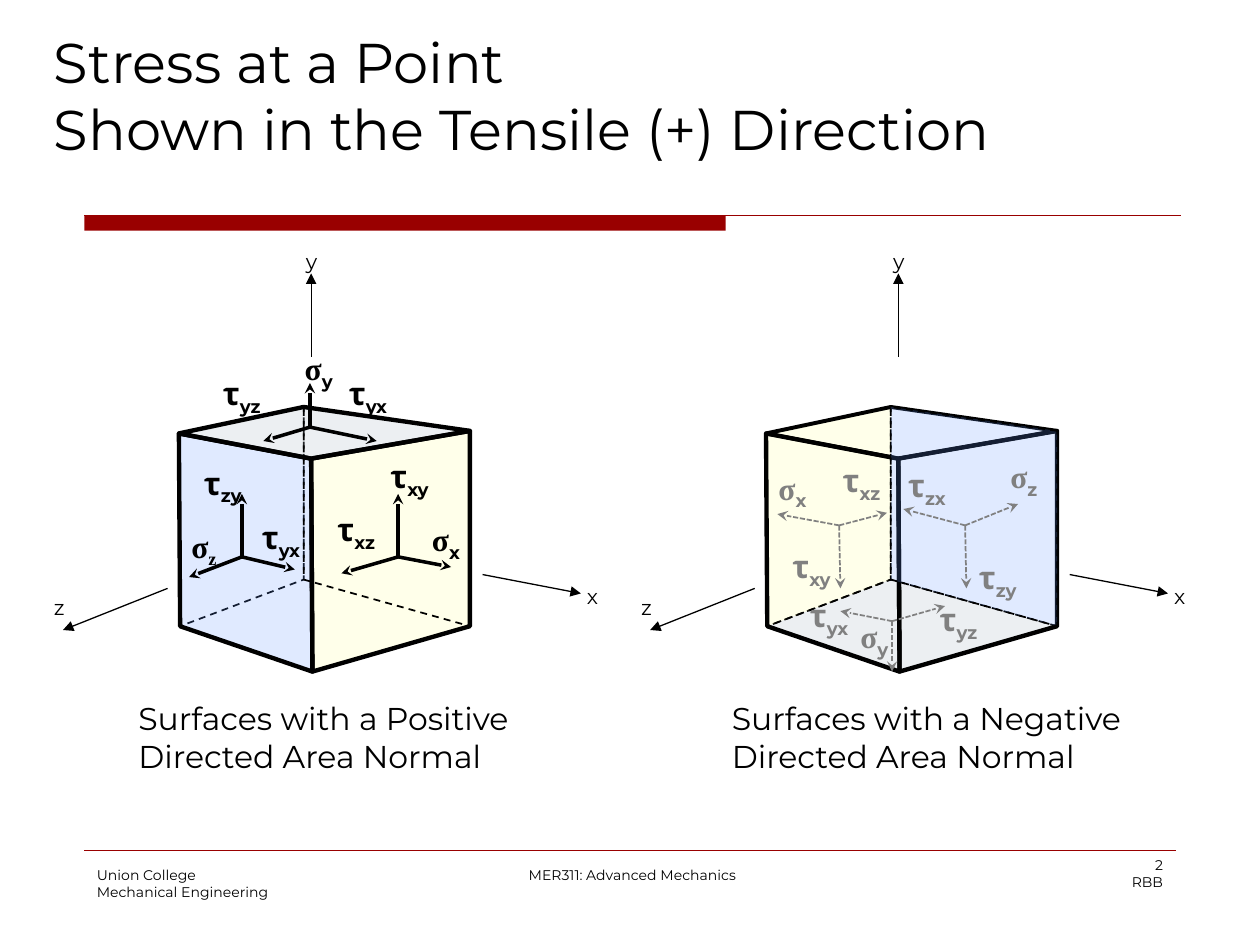
"""Build a slide of the stresses at a point on two cubes."""
from lxml import etree
from pptx import Presentation
from pptx.dml.color import RGBColor
from pptx.enum.dml import MSO_LINE
from pptx.enum.shapes import MSO_CONNECTOR, MSO_SHAPE
from pptx.enum.text import PP_ALIGN
from pptx.oxml.ns import qn
from pptx.util import Inches, Pt

BLACK = RGBColor(0x00, 0x00, 0x00)
GRAY = RGBColor(0x80, 0x80, 0x80)
RED = RGBColor(0x99, 0x00, 0x00)
BLUE = RGBColor(0x66, 0x99, 0xFF)
CREAM = RGBColor(0xFF, 0xFF, 0x99)
STEEL = RGBColor(0xA3, 0xB2, 0xC1)
DASH, DOTS = MSO_LINE.DASH, MSO_LINE.SQUARE_DOT
LEFT, MID, RIGHT = PP_ALIGN.LEFT, PP_ALIGN.CENTER, PP_ALIGN.RIGHT
SANS, SERIF = "Montserrat", "Times New Roman"
CELL = Inches(0.1)
SHIFT = 46.6

deck = Presentation()
deck.slide_width, deck.slide_height = 100 * CELL, 75 * CELL
slide = deck.slides.add_slide(deck.slide_layouts[6])
shapes = slide.shapes


def write(box, lines, size, align=LEFT, wrap=True):
    frame = shapes.add_textbox(*[int(v * CELL) for v in box]).text_frame
    frame.word_wrap = wrap
    for row, line in enumerate(lines):
        para = frame.add_paragraph() if row else frame.paragraphs[0]
        para.text = line
        para.alignment = align
        para.font.size, para.font.name = Pt(size), SANS
        para.font.color.rgb = BLACK
    return frame


def draw(start, end, color, width, head=None, dash=None):
    ends = [int(v * CELL) for v in (*start, *end)]
    wire = shapes.add_connector(MSO_CONNECTOR.STRAIGHT, *ends)
    wire.line.color.rgb, wire.line.width = color, Pt(width)
    if dash:
        wire.line.dash_style = dash
    if head:
        tail = etree.SubElement(wire.line._get_or_add_ln(), qn("a:tailEnd"))
        tail.set("type", head)
    etree.SubElement(wire._element.spPr, qn("a:effectLst"))


bar = shapes.add_shape(MSO_SHAPE.RECTANGLE, *[int(v * CELL) for v in (6.7, 17.1, 50.9, 1.2)])
bar.shadow.inherit = False
bar.fill.solid()
bar.fill.fore_color.rgb = RED
bar.line.fill.background()
draw((6.7, 17.1), (93.7, 17.1), RED, 0.75)
draw((6.7, 67.5), (93.3, 67.5), RED, 0.25)

write((3.3, 1.7, 94.2, 13.3), ["Stress at a Point\vShown in the Tensile (+) Direction"], 32)
write((6.7, 68.3, 20.8, 5), ["Union College", "Mechanical Engineering"], 8)
write((38.1, 68.3, 24.2, 2.4), ["MER311: Advanced Mechanics"], 8, MID)
write((70, 67.5, 23.3, 4), ["2", "RBB"], 8, RIGHT)

nodes = {
    "A": (14.2, 34.4), "B": (24.7, 36.4), "C": (37.3, 34.2), "D": (24.1, 32.3),
    "E": (14.3, 49.7), "F": (24.8, 53.3), "G": (37.3, 49.7), "H": (24.1, 46),
}
faces = [
    (0, "CGFB", CREAM, 2.5, None), (0, "DAEH", None, 1, DASH),
    (0, "ABFE", BLUE, 2.5, None), (0, "ABCD", STEEL, 2.5, None),
    (0, "CDHG", None, 1, DASH),
    (SHIFT, "EFGH", STEEL, 1, DASH), (SHIFT, "DAEH", CREAM, 1, DASH),
    (SHIFT, "ABFE", None, 2.5, None), (SHIFT, "CGFB", None, 2.5, None),
    (SHIFT, "ABCD", None, 2.25, None), (SHIFT, "CDHG", BLUE, 1, DASH),
]
for move, names, tint, width, dash in faces:
    points = [(int((nodes[n][0] + move) * CELL), int(nodes[n][1] * CELL)) for n in names]
    outline = shapes.build_freeform(*points[0])
    outline.add_line_segments(points[1:], close=True)
    face = outline.convert_to_shape()
    face.shadow.inherit = False
    if tint:
        face.fill.solid()
        face.fill.fore_color.rgb = tint
        shade = face._element.spPr.find(".//" + qn("a:srgbClr"))
        etree.SubElement(shade, qn("a:alpha")).set("val", "20000")
    else:
        face.fill.background()
    face.line.color.rgb, face.line.width = BLACK, Pt(width)
    if dash:
        face.line.dash_style = dash

axes = [
    ("y", (24.7, 28.3), (24.7, 21.7), (23.3, 19.2)),
    ("x", (38.3, 45.6), (46.1, 47.1), (45.6, 45.8)),
    ("z", (13.3, 46.7), (5, 50), (3.3, 46.7)),
]
for move in (0, SHIFT):
    for name, (x1, y1), (x2, y2), (left, top) in axes:
        draw((x1 + move, y1), (x2 + move, y2), BLACK, 0.75, "triangle")
        write((left + move, top, 3.3, 3), [name], 12)

stars = [
    (BLACK, 2, None, (24.6, 33.9), [(20.9, 35), (29.9, 35), (24.6, 30.4)]),
    (BLACK, 2, None, (19.2, 44.2), [(15, 45.8), (23.4, 45.2), (19.2, 39.2)]),
    (BLACK, 2, None, (31.6, 44.2), [(27.1, 45.5), (35.8, 45), (31.6, 39.2)]),
    (GRAY, 1, DOTS, (70.8, 49.3), [(75, 48.1), (66.7, 48.5), (70.8, 53.3)]),
    (GRAY, 1, DOTS, (76.6, 41.7), [(80.8, 40), (71.7, 40.4), (76.7, 46.7)]),
    (GRAY, 1, DOTS, (66.6, 41.7), [(70.4, 40.7), (61.7, 40.8), (66.7, 46.7)]),
]
for color, width, dash, core, tips in stars:
    for tip in tips:
        draw(core, tip, color, width, "stealth", dash)

signs = [
    (BLACK, [
        ("σ", "x", 33.3, 40.8, SANS), ("σ", "y", 23.2, 27.2, SANS),
        ("σ", "z", 14.2, 41.3, SERIF), ("τ", "xz", 25.8, 40, SANS),
        ("τ", "xy", 30, 35.8, SANS), ("τ", "yz", 16.7, 29.2, SANS),
        ("τ", "yx", 19.8, 40.6, SANS), ("τ", "zy", 15.2, 36.3, SANS),
        ("τ", "yx", 26.7, 29.2, SANS)]),
    (GRAY, [
        ("σ", "x", 60.8, 36.7, SANS), ("σ", "y", 67.3, 48.5, SANS),
        ("σ", "z", 79.2, 35.8, SANS), ("τ", "xz", 65.9, 36.1, SANS),
        ("τ", "xy", 61.9, 42.9, SANS), ("τ", "yz", 73.6, 47.1, SANS),
        ("τ", "yx", 63.3, 46.8, SANS), ("τ", "zx", 71.1, 36.5, SANS),
        ("τ", "zy", 76.7, 43.8, SANS)]),
]
for color, group in signs:
    for sign, index, left, top, font in group:
        size = (4.4, 4) if sign == "σ" else (5.3, 7.1)
        para = write((left, top, *size), [sign], 18, wrap=False).paragraphs[0]
        para.font.bold, para.font.color.rgb = True, color
        para.runs[0].font.name = SERIF if sign == "σ" else SANS
        sub = para.add_run()
        sub.text, sub.font.name = index, font
        sub._r.get_or_add_rPr().set("baseline", "-25000")

for left, wide, kind in ((10, 35.4, "Positive"), (57.1, 36.7, "Negative")):
    lines = [f"Surfaces with a {kind}", "Directed Area Normal"]
    write((left, 55, wide, 7.1), lines, 18, wrap=False)

deck.save("out.pptx")
